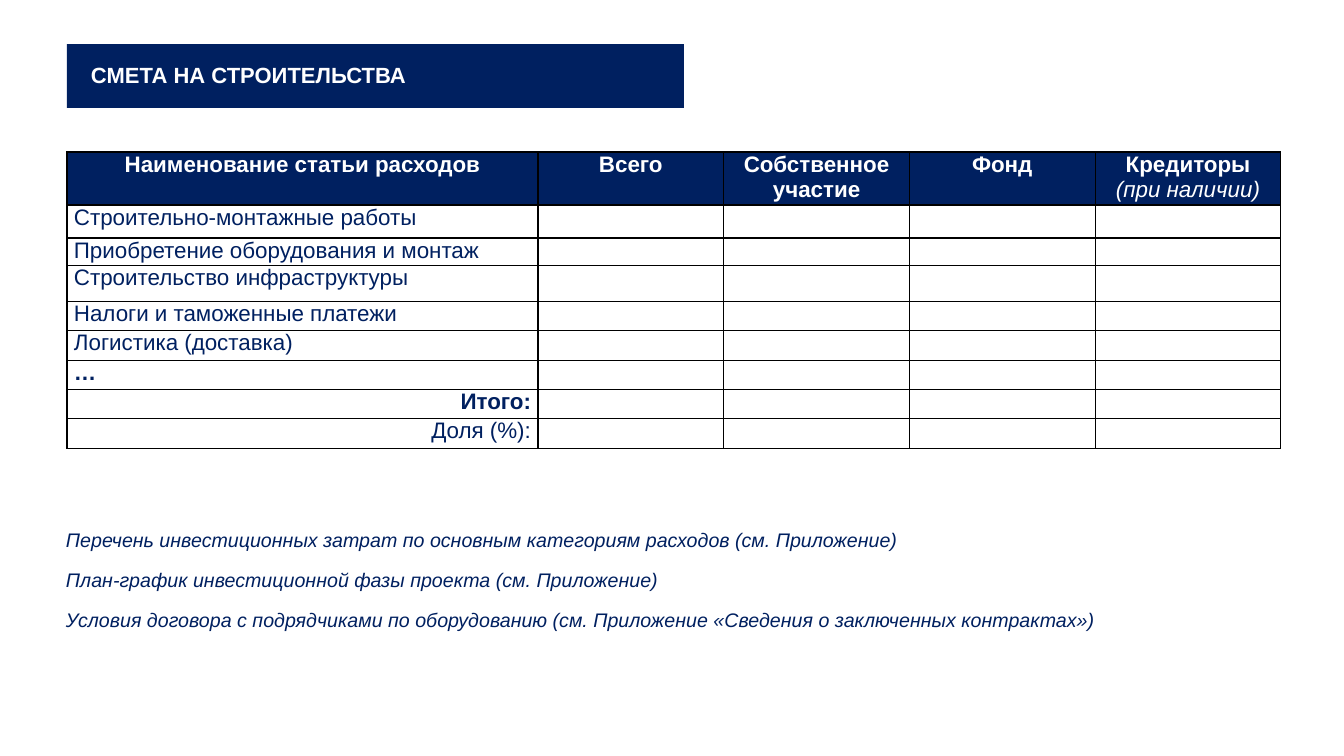
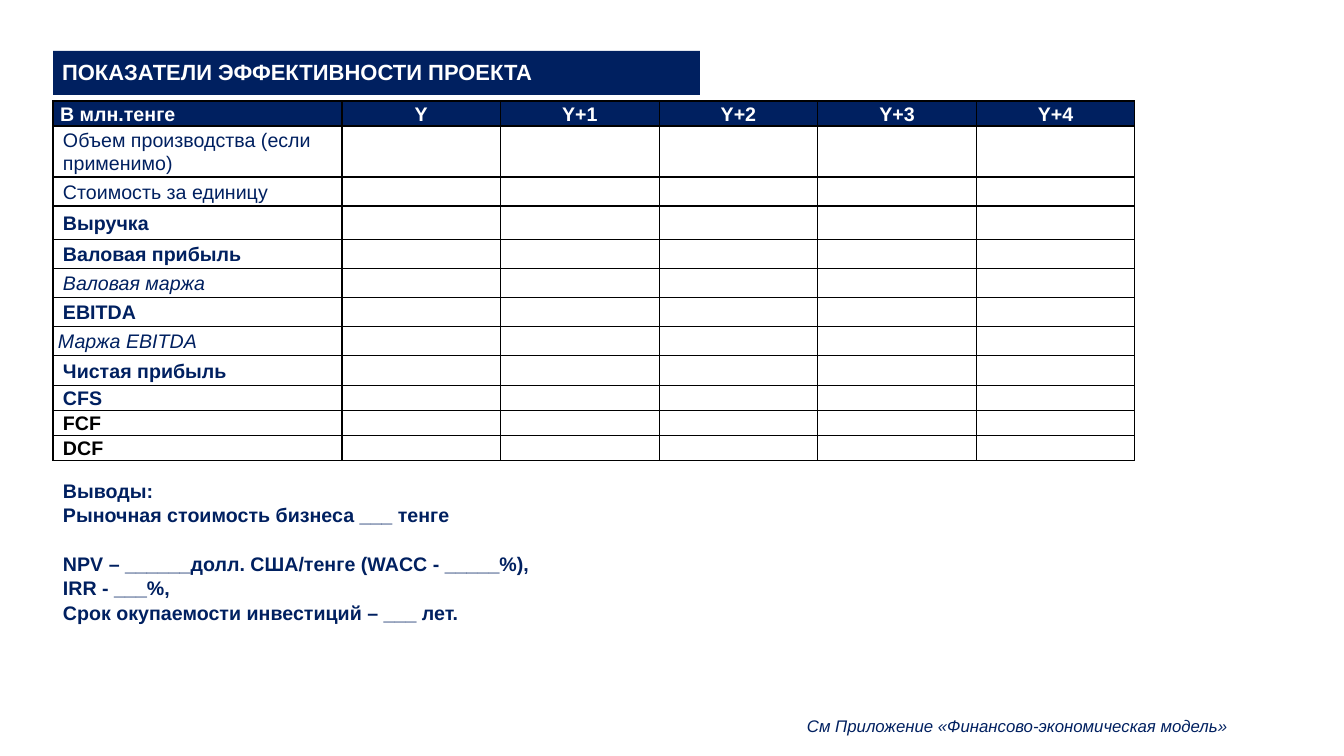
from dataclasses import dataclass

from lxml import etree
from pptx import Presentation
from pptx.dml.color import RGBColor
from pptx.enum import text
from pptx.oxml.ns import qn

EMU_PER_PX = 12192000 / 1344
POINT = 12700


@dataclass(frozen=True)
class Theme:
    font: str = "Arial"
    navy: str = "002060"
    white: str = "FFFFFF"
    black: str = "000000"
    title_size: float = 15.7
    estimate_size: int = 16
    body_size: int = 14
    footer_size: int = 12


THEME = Theme()


@dataclass(frozen=True)
class Span:
    text: str
    bold: bool = False
    italic: bool = False
    color: str = THEME.navy


@dataclass(frozen=True)
class CellStyle:
    size: int
    margins: tuple = (7, 7)
    anchor: text.MSO_ANCHOR = text.MSO_ANCHOR.TOP
    spacing: float = 1.0


def px(length):
    return round(length * EMU_PER_PX)


def header(label):
    return Span(label, bold=True, color=THEME.white)


def place(shape, left, top, width, height):
    shape.left, shape.top = px(left), px(top)
    shape.width, shape.height = px(width), px(height)


def add_spans(para, spans, size):
    for span in spans:
        run = para.add_run()
        run.text = span.text
        font = run.font
        font.name, font.size = THEME.font, round(size * POINT)
        font.bold, font.italic = span.bold, span.italic
        font.color.rgb = RGBColor.from_string(span.color)


def set_margins(target, left, top, right, bottom):
    target.margin_left, target.margin_top = px(left), px(top)
    target.margin_right, target.margin_bottom = px(right), px(bottom)


def add_page(deck, title, band, inset):
    """Add a title-only page whose title is a filled band."""
    page = deck.slides.add_slide(deck.slide_layouts[5])
    box = page.shapes.title
    place(box, *band)
    box.fill.solid()
    box.fill.fore_color.rgb = RGBColor.from_string(THEME.navy)
    frame = box.text_frame
    frame.auto_size = text.MSO_AUTO_SIZE.NONE
    frame.word_wrap = True
    frame.vertical_anchor = text.MSO_ANCHOR.MIDDLE
    set_margins(frame, inset, 0, 0, 2)
    para = frame.paragraphs[0]
    para.alignment = text.PP_ALIGN.LEFT
    add_spans(para, [header(title)], THEME.title_size)
    return page


def add_text(page, area, lines, size, margins=(10, 5, 10, 5)):
    """Add a text box with one paragraph per span and return its paragraphs."""
    box = page.shapes.add_textbox(0, 0, 0, 0)
    place(box, *area)
    frame = box.text_frame
    frame.word_wrap = True
    set_margins(frame, *margins)
    for index, line in enumerate(lines):
        para = frame.add_paragraph() if index else frame.paragraphs[0]
        add_spans(para, [line], size)
    return frame.paragraphs


def add_borders(cell):
    properties = cell._tc.get_or_add_tcPr()
    for side in ("a:lnL", "a:lnR", "a:lnT", "a:lnB"):
        line = etree.SubElement(properties, qn(side), w=str(POINT))
        fill = etree.SubElement(line, qn("a:solidFill"))
        etree.SubElement(fill, qn("a:srgbClr"), val=THEME.black)


def add_grid(page, left, top, width, first_width, heights, columns):
    """Add a bordered table with a navy header; later columns are equal."""
    frame = page.shapes.add_table(len(heights), columns, px(left), px(top),
                                  px(width), px(sum(heights)))
    table = frame.table
    table.first_row = table.horz_banding = False
    for index, column in enumerate(table.columns):
        column.width = px((width - first_width) / (columns - 1) if index else first_width)
    for index, (row, height) in enumerate(zip(table.rows, heights)):
        row.height = px(height)
        for cell in row.cells:
            add_borders(cell)
            if index:
                cell.fill.background()
            else:
                cell.fill.solid()
                cell.fill.fore_color.rgb = RGBColor.from_string(THEME.navy)
    return table


def fill_cell(cell, spans, style, align=text.PP_ALIGN.LEFT):
    left, right = style.margins
    set_margins(cell, left, 0, right, 0)
    cell.vertical_anchor = style.anchor
    para = cell.text_frame.paragraphs[0]
    if spans:
        para.alignment = align
        para.line_spacing = style.spacing
        add_spans(para, spans, style.size)
    else:
        etree.SubElement(para._p, qn("a:endParaRPr"), sz=str(style.size * 100))


def fill_row(table, row, label, style, align=text.PP_ALIGN.LEFT):
    """Put a label in the first cell and leave the other cells empty."""
    first, *others = table.rows[row].cells
    fill_cell(first, [label], style, align)
    for cell in others:
        fill_cell(cell, [], style)


def build_estimate(deck):
    page = add_page(deck, "СМЕТА НА СТРОИТЕЛЬСТВА", (67, 44, 617, 64), 24)
    style = CellStyle(THEME.estimate_size)
    headers = [[header("Наименование статьи расходов")], [header("Всего")],
               [header("Собственное участие")], [header("Фонд")],
               [header("Кредиторы "),
                Span("(при наличии)", italic=True, color=THEME.white)]]
    items = [Span("Строительно-монтажные работы"),
             Span("Приобретение оборудования и монтаж"),
             Span("Строительство инфраструктуры"),
             Span("Налоги и таможенные платежи"),
             Span("Логистика (доставка)"),
             Span("…", bold=True)]
    totals = [Span("Итого:", bold=True), Span("Доля (%):")]
    heights = [53, 33, 27, 36, 29, 30, 29, 29, 30]
    table = add_grid(page, 67, 152, 1214, 471, heights, len(headers))
    for cell, spans in zip(table.rows[0].cells, headers):
        fill_cell(cell, spans, style, text.PP_ALIGN.CENTER)
    for row, label in enumerate(items + totals, 1):
        align = text.PP_ALIGN.RIGHT if label in totals else text.PP_ALIGN.LEFT
        fill_row(table, row, label, style, align)

    notes = ["Перечень инвестиционных затрат по основным категориям расходов (см. Приложение)",
             "План-график инвестиционной фазы проекта (см. Приложение)",
             "Условия договора с подрядчиками по оборудованию "
             "(см. Приложение «Сведения о заключенных контрактах»)"]
    for index, note in enumerate(notes):
        add_text(page, (56, 523 + 40 * index, 1074, 34),
                 [Span(note, italic=True)], THEME.body_size)


def build_indicators(deck):
    page = add_page(deck, "ПОКАЗАТЕЛИ ЭФФЕКТИВНОСТИ ПРОЕКТА", (53, 51, 647, 44), 9)
    middle = text.MSO_ANCHOR.MIDDLE
    head_style = CellStyle(THEME.body_size, anchor=middle, spacing=1.07)
    style = CellStyle(THEME.body_size, (10, 0), middle, 1.07)
    margin_style = CellStyle(THEME.body_size, (5, 0), middle, 1.07)
    headers = ["В млн.тенге", "Y", "Y+1", "Y+2", "Y+3", "Y+4"]
    items = [(Span("Объем производства (если применимо)"), style),
             (Span("Стоимость за единицу"), style),
             (Span("Выручка", bold=True), style),
             (Span("Валовая прибыль", bold=True), style),
             (Span("Валовая маржа", italic=True), style),
             (Span("EBITDA", bold=True), style),
             (Span("Маржа EBITDA", italic=True), margin_style),
             (Span("Чистая прибыль", bold=True), style),
             (Span("CFS", bold=True), style),
             (Span("FCF", bold=True, color=THEME.black), style),
             (Span("DCF", bold=True, color=THEME.black), style)]
    heights = [25, 51, 29, 34, 29, 29, 29, 29, 30, 25, 25, 25]
    table = add_grid(page, 53, 101, 1082, 289, heights, len(headers))
    for index, label in enumerate(headers):
        align = text.PP_ALIGN.CENTER if index else text.PP_ALIGN.LEFT
        fill_cell(table.cell(0, index), [header(label)], head_style, align)
    for row, (label, row_style) in enumerate(items, 1):
        fill_row(table, row, label, row_style)

    conclusions = ["Выводы:",
                   "Рыночная стоимость бизнеса ___ тенге",
                   "NPV – ______долл. США/тенге (WACC - _____%),",
                   "IRR - ___%,",
                   "Срок окупаемости инвестиций – ___ лет."]
    paras = add_text(page, (53, 473, 1225, 164),
                     [Span(line, bold=True) for line in conclusions], THEME.body_size)
    for para in paras:
        para.line_spacing = 1.04
    paras[2].space_before = 17 * POINT
    add_text(page, (805, 715, 505, 22),
             [Span("См Приложение «Финансово-экономическая модель»", italic=True)],
             THEME.footer_size, (2, 1, 0, 0))


def main():
    deck = Presentation()
    deck.slide_width, deck.slide_height = px(1344), px(756)
    build_estimate(deck)
    build_indicators(deck)
    deck.save("out.pptx")


if __name__ == "__main__":
    main()
